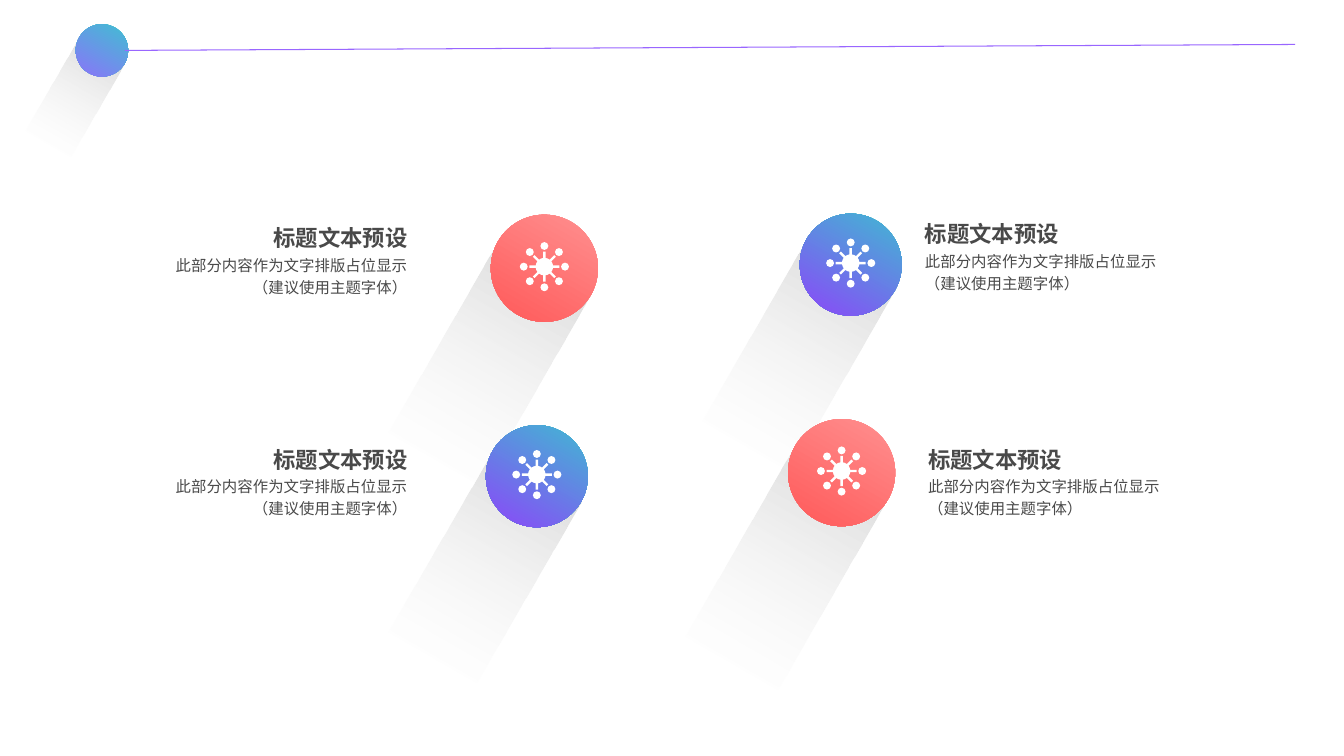
import copy
import dataclasses
import math

import lxml.etree
import pptx
import pptx.dml.color
import pptx.enum.shapes
import pptx.enum.text
import pptx.oxml.ns
import pptx.util

Cm = pptx.util.Cm
Align = pptx.enum.text.PP_ALIGN
Preset = pptx.enum.shapes.MSO_SHAPE
qn = pptx.oxml.ns.qn


@dataclasses.dataclass(frozen=True)
class Theme:
    font: str = "Arial"
    heading_size: int = 16
    body_size: int = 11
    text: str = "494949"
    line: str = "9966FF"
    icon: str = "FFFFFF"
    header: tuple = ("33CCCC", "9966FF")
    blue: tuple = ("33CCCC", "9933FF")
    red: tuple = ("FF9999", "FF5050")
    shadow: tuple = ("BFBFBF", "FFFFFF")
    shadow_alpha: tuple = (70, 0)


def apply(target, values):
    for name, value in values.items():
        setattr(target, name, value)


def color(value):
    return pptx.dml.color.RGBColor.from_string(value)


class SlideBuilder:
    tilt = 30
    shadow_ratio = 2.05

    def __init__(self, slide, theme):
        self.slide = slide
        self.theme = theme

    def gradient_shape(self, preset, center, size, colors, alphas=()):
        left, top = (c - s / 2 for c, s in zip(center, size))
        shape = self.slide.shapes.add_shape(preset, Cm(left), Cm(top), Cm(size[0]), Cm(size[1]))
        shape.rotation = self.tilt
        shape.shadow.inherit = False
        shape.line.fill.background()
        shape.fill.gradient()
        shape.fill.gradient_angle = 270
        for stop, value in zip(shape.fill.gradient_stops, colors):
            stop.color.rgb = color(value)
        for node, alpha in zip(shape._element.spPr.iter(qn("a:srgbClr")), alphas):
            lxml.etree.SubElement(node, qn("a:alpha")).set("val", str(alpha * 1000))

    def circle(self, center, diameter, colors):
        self.gradient_shape(Preset.OVAL, center, (diameter, diameter), colors)

    def long_shadow(self, center, diameter):
        length = diameter * self.shadow_ratio
        angle = math.radians(self.tilt)
        middle = (center[0] - length / 2 * math.sin(angle), center[1] + length / 2 * math.cos(angle))
        self.gradient_shape(Preset.RECTANGLE, middle, (diameter, length),
                            self.theme.shadow, self.theme.shadow_alpha)

    def burst_icon(self, center):
        def polar(origin, radius, degrees):
            angle = math.radians(degrees)
            return origin[0] + radius * math.cos(angle), origin[1] + radius * math.sin(angle)

        hub, tip, orbit, dot = 0.22, 0.38, 0.52, 0.1
        spokes = range(0, 360, 45)
        profile = [(hub, -8), (tip, -4.6), (tip, 4.6), (hub, 8), (hub, 22.5)]
        contours = [[polar(center, radius, spoke + turn) for spoke in spokes for radius, turn in profile]]
        for spoke in spokes:
            origin = polar(center, orbit, spoke)
            contours.append([polar(origin, dot, turn) for turn in range(0, 360, 45)])
        contours = [[(Cm(x), Cm(y)) for x, y in contour] for contour in contours]
        builder = self.slide.shapes.build_freeform(*contours[0][0])
        builder.add_line_segments(contours[0][1:])
        for contour in contours[1:]:
            builder.move_to(*contour[0])
            builder.add_line_segments(contour[1:], close=False)
        shape = builder.convert_to_shape()
        shape.shadow.inherit = False
        shape.line.fill.background()
        shape.fill.solid()
        shape.fill.fore_color.rgb = color(self.theme.icon)

    def line(self, start, end):
        connector = self.slide.shapes.add_connector(
            pptx.enum.shapes.MSO_CONNECTOR.STRAIGHT, *map(Cm, start + end))
        connector.line.color.rgb = color(self.theme.line)
        connector.line.width = pptx.util.Pt(0.75)
        lxml.etree.SubElement(connector._element.spPr, qn("a:effectLst"))

    def text(self, content, box, size, bold, wrap, paragraph_format):
        frame = self.slide.shapes.add_textbox(*map(Cm, box)).text_frame
        apply(frame, {"word_wrap": wrap, "margin_left": Cm(0.2), "margin_right": Cm(0.2),
                      "margin_top": 0, "margin_bottom": 0})
        paragraph = frame.paragraphs[0]
        paragraph.text = content
        apply(paragraph, paragraph_format)
        for run in paragraph.runs:
            apply(run.font, {"name": self.theme.font, "size": pptx.util.Pt(size), "bold": bold})
            run.font.color.rgb = color(self.theme.text)
            properties = run._r.get_or_add_rPr()
            lxml.etree.SubElement(properties, qn("a:ea")).set("typeface", self.theme.font)
        for line_break in paragraph._p.findall(qn("a:br")):
            line_break.insert(0, copy.deepcopy(properties))

    def caption(self, heading, body, left, top, alignment):
        width, heading_height, body_height = 6.81, 0.69, 1.32
        self.text(body, (left, top + heading_height, width, body_height), self.theme.body_size,
                  False, True, {"alignment": alignment, "line_spacing": 1.2})
        self.text(heading, (left, top, width, heading_height), self.theme.heading_size,
                  True, False, {"alignment": alignment})


def main():
    presentation = pptx.Presentation()
    apply(presentation, {"slide_width": Cm(33.87), "slide_height": Cm(19.05)})
    theme = Theme()
    builder = SlideBuilder(presentation.slides.add_slide(presentation.slide_layouts[6]), theme)

    header_center, header_diameter = (2.57, 1.27), 1.32
    builder.long_shadow(header_center, header_diameter)
    builder.circle(header_center, header_diameter, theme.header)
    builder.line((3.15, 1.27), (32.64, 1.12))

    captions = [(3.66, 5.66, Align.RIGHT), (3.66, 11.23, Align.RIGHT),
                (23.19, 11.23, Align.LEFT), (23.11, 5.56, Align.LEFT)]
    for left, top, alignment in captions:
        builder.caption("标题文本预设", "此部分内容作为文字排版占位显示\v（建议使用主题字体）",
                        left, top, alignment)

    badges = [((13.72, 6.76), 2.7, theme.red), ((13.53, 12), 2.57, theme.blue),
              ((21.21, 11.91), 2.7, theme.red), ((21.44, 6.67), 2.57, theme.blue)]
    for center, diameter, colors in badges:
        builder.long_shadow(center, diameter)
    for center, diameter, colors in badges:
        builder.circle(center, diameter, colors)
        builder.burst_icon((center[0], center[1] - 0.04))

    presentation.save("out.pptx")


if __name__ == "__main__":
    main()
